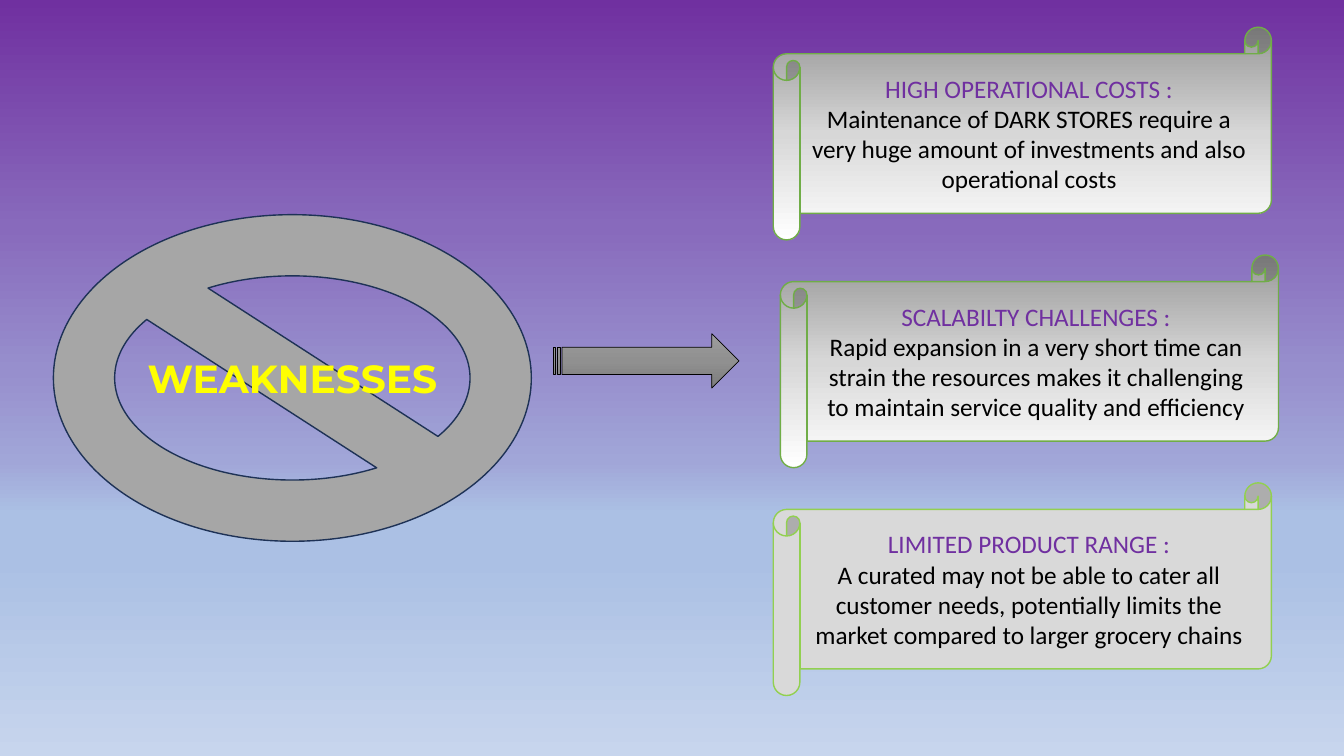
"""Builds the weaknesses slide: a barred ring, an arrow and three scrolls."""
from dataclasses import dataclass

from lxml import etree
from pptx import Presentation
from pptx import util as u
from pptx.dml.color import RGBColor
from pptx.enum import shapes, text
from pptx.oxml.ns import qn

KIND = shapes.MSO_SHAPE


@dataclass(frozen=True)
class Theme:
    """Colours, gradients and type sizes of the slide."""
    sky: tuple = ((0, "7030A0"), (30, "886ABC"), (49, "978FCD"), (61, "A1A6D8"),
                  (68, "ABC0E4"), (74, "ABC0E4"), (100, "C7D5ED"))
    steel: tuple = ((0, "9D9D9D"), (50, "909090"), (100, "7C7C7C"))
    paper: tuple = ((0, "979797"), (50, "D7D7D7"), (100, "FFFFFF"))
    flat: str = "D9D9D9"
    ring: str = "A6A6A6"
    navy: str = "1E3256"
    green: str = "70AD47"
    lime: str = "92D050"
    purple: str = "7030A0"
    yellow: str = "FFFF00"
    black: str = "000000"
    head: str = "Montserrat"
    body: str = "Calibri"
    big: int = 28
    small: int = 18


class Deck:
    """Holds the theme and the current slide."""

    def __init__(self, theme):
        """Open a slide with a title and paint its background."""
        self.theme = theme
        self.file = Presentation()
        self.file.slide_width = u.Inches(13.33)
        self.file.slide_height = u.Inches(7.5)
        self.slide = self.file.slides.add_slide(self.file.slide_layouts[5])
        self.paint(self.slide.background.fill, self.slide.element, theme.sky)

    def paint(self, fill, node, look):
        """Fill with one colour or with a downward gradient."""
        if isinstance(look, str):
            fill.solid()
            fill.fore_color.rgb = RGBColor.from_string(look)
            return
        fill.gradient()
        fill.gradient_angle = 270
        stops = node.find(".//" + qn("a:gsLst"))
        for old in list(stops):
            stops.remove(old)
        for place, shade in look:
            stop = etree.SubElement(stops, qn("a:gs"), pos=str(place * 1000))
            etree.SubElement(stop, qn("a:srgbClr"), val=shade)

    def shape(self, kind, box, look, edge, width=1):
        """Add a preset shape with its fill and outline."""
        item = self.slide.shapes.add_shape(kind, *map(u.Inches, box))
        item.shadow.inherit = False
        self.paint(item.fill, item.element, look)
        item.line.color.rgb = RGBColor.from_string(edge)
        item.line.width = u.Pt(width)
        return item

    def label(self, item, words, font, size, shades, bold=False):
        """Set centred lines, with one colour for each line."""
        frame = item.text_frame
        frame.text = words
        frame.word_wrap = True
        frame.auto_size = text.MSO_AUTO_SIZE.NONE
        frame.vertical_anchor = text.MSO_ANCHOR.MIDDLE
        for line, shade in zip(frame.paragraphs, shades):
            line.alignment = text.PP_ALIGN.CENTER
            for run in line.runs:
                run.font.name = font
                run.font.size = u.Pt(size)
                run.font.bold = bold
                run.font.color.rgb = RGBColor.from_string(shade)

    def title(self, words, box):
        """Place the title in front of the shapes drawn so far."""
        item = self.slide.shapes.title
        item.left, item.top, item.width, item.height = map(u.Inches, box)
        item.element.getparent().append(item.element)
        look = self.theme
        self.label(item, words, look.head, look.big, [look.yellow], True)

    def scroll(self, left, top, head, body, look, edge):
        """Add a scroll with a heading and a sentence."""
        box = (left, top, 4.94, 2.11)
        item = self.shape(KIND.HORIZONTAL_SCROLL, box, look, edge)
        self.label(item, f"{head}\n{body}", self.theme.body, self.theme.small,
                   [self.theme.purple, self.theme.black])


def main():
    """Draw the slide and save it."""
    theme = Theme()
    deck = Deck(theme)
    ring = (0.53, 2.13, 4.74, 3.24)
    deck.shape(KIND.NO_SYMBOL, ring, theme.ring, theme.navy)
    deck.title("WEAKNESSES", ring)
    deck.shape(KIND.STRIPED_RIGHT_ARROW, (5.49, 3.31, 1.84, 0.54),
               theme.steel, theme.black, 0.5)
    points = [
        (7.67, "HIGH OPERATIONAL COSTS :",
         "Maintenance of DARK STORES require a very huge amount of "
         "investments and also operational costs", theme.paper, theme.green),
        (7.74, "SCALABILTY CHALLENGES :",
         "Rapid expansion in a very short time can strain the resources makes "
         "it challenging to maintain service quality and efficiency",
         theme.paper, theme.green),
        (7.67, "LIMITED PRODUCT RANGE :",
         "A curated may not be able to cater all customer needs, potentially "
         "limits the market compared to larger grocery chains",
         theme.flat, theme.lime),
    ]
    for row, (left, *rest) in enumerate(points):
        deck.scroll(left, 0.27 + row * 2.26, *rest)
    deck.file.save("out.pptx")


if __name__ == "__main__":
    main()
